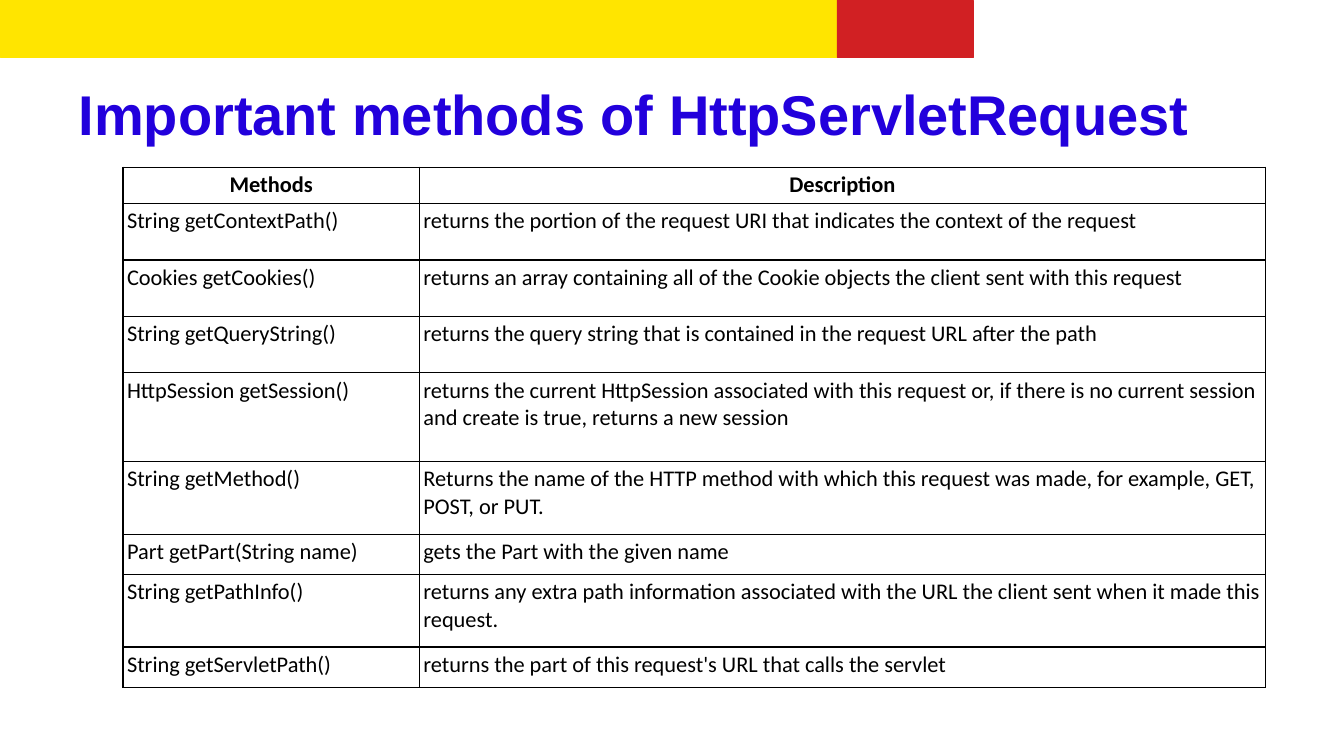
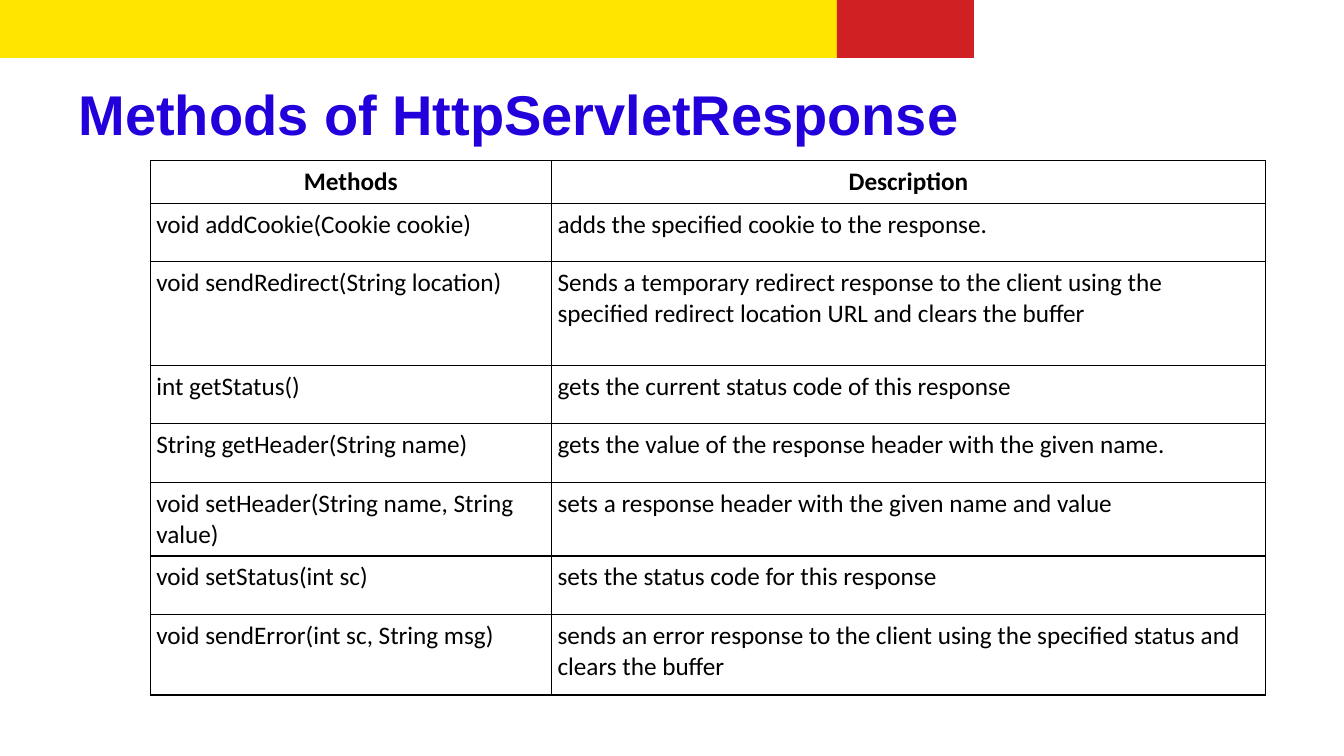
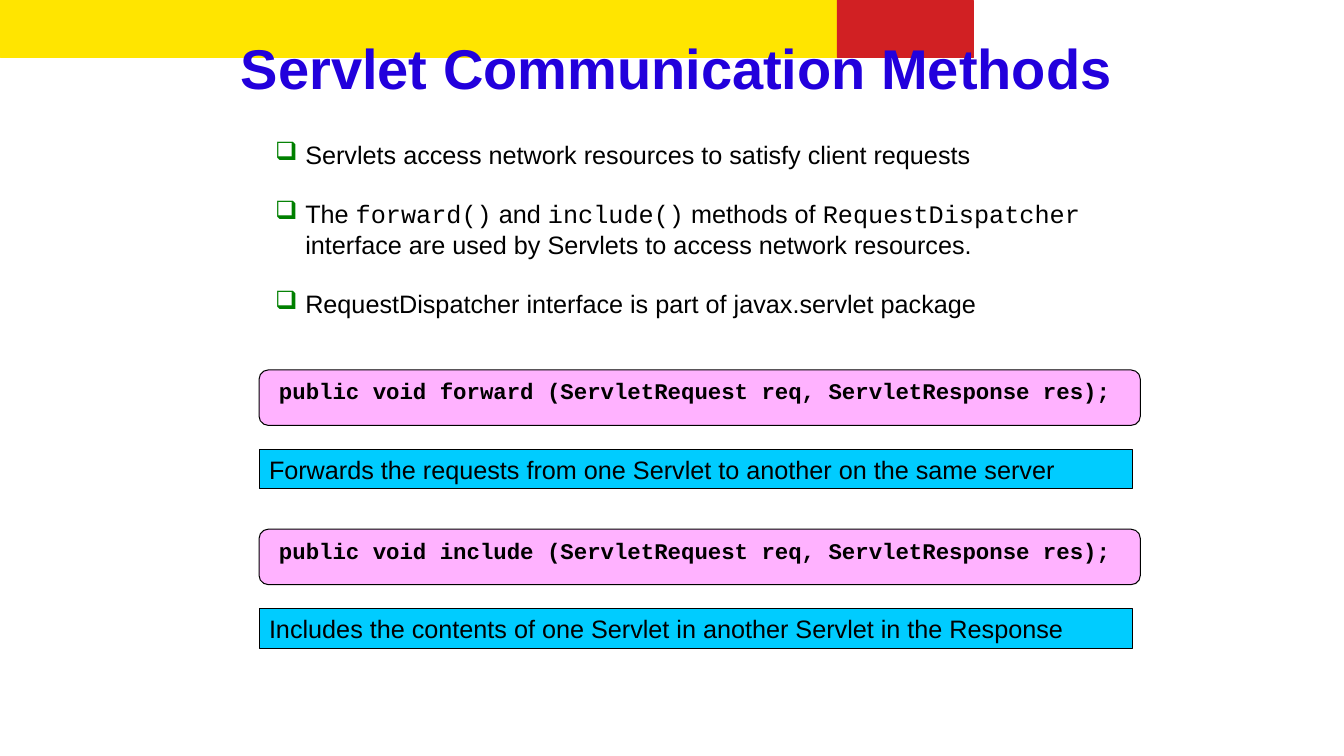
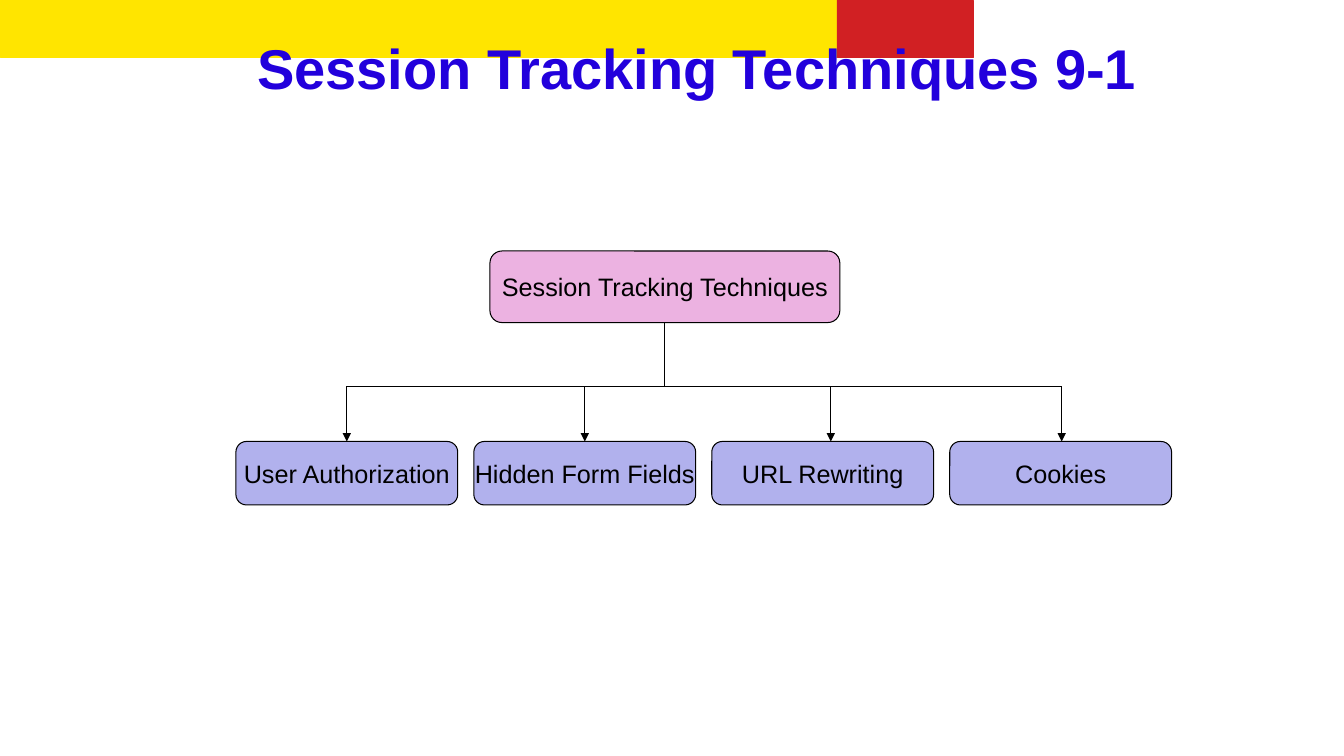
from lxml.etree import SubElement
from pptx import Presentation
from pptx.dml.color import RGBColor
from pptx.enum.shapes import MSO_CONNECTOR, MSO_SHAPE
from pptx.enum.text import MSO_ANCHOR, MSO_AUTO_SIZE, PP_ALIGN
from pptx.oxml.ns import qn
from pptx.util import Emu, Pt

EMU_PER_PX = 9144  # 100 px to the inch
COLORS = {
    "yellow": "FFE500", "red": "D12023", "title": "2200DC", "black": "000000",
    "white": "FFFFFF", "bullet": "008000", "code": "FF66FF", "note": "00CCFF",
    "root": "ECB2E1", "branch": "B1B1ED",
}
SANS, TABLE_FONT, MONO = "Arial", "Calibri", "Courier New"

REQUEST_ROWS = [
    ("Methods", "Description"),
    ("String getContextPath()",
     "returns the portion of the request URI that indicates the context of the request"),
    ("Cookies getCookies()",
     "returns an array containing all of the Cookie objects the client sent with this request"),
    ("String getQueryString()",
     "returns the query string that is contained in the request URL after the path"),
    ("HttpSession getSession()",
     "returns the current HttpSession associated with this request or, if there is no "
     "current session and create is true, returns a new session"),
    ("String getMethod()",
     "Returns the name of the HTTP method with which this request was made, "
     "for example, GET, POST, or PUT."),
    ("Part getPart(String name)", "gets the Part with the given name"),
    ("String getPathInfo()",
     "returns any extra path information associated with the URL the client sent "
     "when it made this request."),
    ("String getServletPath()", "returns the part of this request's URL that calls the servlet"),
]
RESPONSE_ROWS = [
    ("Methods", "Description"),
    ("void addCookie(Cookie cookie)", "adds the specified cookie to the response."),
    ("void sendRedirect(String location)",
     "Sends a temporary redirect response to the client using the specified redirect "
     "location URL and clears the buffer"),
    ("int getStatus()", "gets the current status code of this response"),
    ("String getHeader(String name)",
     "gets the value of the response header with the given name."),
    ("void setHeader(String name, String value)",
     "sets a response header with the given name and value"),
    ("void setStatus(int sc)", "sets the status code for this response"),
    ("void sendError(int sc, String msg)",
     "sends an error response to the client using the specified status and clears the buffer"),
]
# Each bullet is a list of (text, font) runs
DISPATCH_BULLETS = [
    [("Servlets access network resources to satisfy client requests", SANS)],
    [("The ", SANS), ("forward()", MONO), (" and ", SANS), ("include()", MONO),
     (" methods of ", SANS), ("RequestDispatcher", MONO),
     (" interface are used by Servlets to access network resources.", SANS)],
    [("RequestDispatcher interface is part of javax.servlet package", SANS)],
]
DISPATCH_METHODS = [
    ("public void forward (ServletRequest req, ServletResponse res);",
     "Forwards the requests from one Servlet to another on the same server"),
    ("public void include (ServletRequest req, ServletResponse res);",
     "Includes the contents of one Servlet in another Servlet in the Response"),
]
# Technique and the x of the arrow that leads to it
TECHNIQUES = [("User Authorization", 344), ("Hidden Form Fields", 580),
              ("URL Rewriting", 824), ("Cookies", 1053)]


def px(length):
    return Emu(length * EMU_PER_PX)


def rgb(name):
    return RGBColor.from_string(COLORS[name])


def style_run(run, size, font=SANS, color="black", bold=False):
    run.font.size = Pt(size)
    run.font.name = font
    run.font.bold = bold
    run.font.color.rgb = rgb(color)


def set_margins(frame, left, top, right, bottom):
    frame.margin_left, frame.margin_top = px(left), px(top)
    frame.margin_right, frame.margin_bottom = px(right), px(bottom)


# Shared parts
def add_shape(slide, kind, box, fill, line="black", width=0.75):
    shape = slide.shapes.add_shape(kind, *map(px, box))
    shape.shadow.inherit = False
    shape.fill.solid()
    shape.fill.fore_color.rgb = rgb(fill)
    shape.line.color.rgb = rgb(line)
    shape.line.width = Pt(width)
    return shape


def move_bands_to_layout(slide):
    """Draw the top bands and place them behind everything in the layout."""
    first = slide.slide_layout.shapes[0].element
    for number, (left, width, color) in enumerate([(0, 830, "yellow"), (830, 135, "red")]):
        band = add_shape(slide, MSO_SHAPE.RECTANGLE, (left, 0, width, 57), color, color, 0.25)
        band.element.nvSpPr.cNvPr.id = 20 + number
        first.addprevious(band.element)


def add_slide(presentation, title, left, top, width):
    slide = presentation.slides.add_slide(presentation.slide_layouts[5])
    shape = slide.shapes.title
    shape.left, shape.top, shape.width, shape.height = map(px, (left, top, width, 67))
    frame = shape.text_frame
    frame.text = title
    frame.auto_size = MSO_AUTO_SIZE.NONE
    frame.vertical_anchor = MSO_ANCHOR.TOP
    set_margins(frame, 0, 5, 0, 0)
    paragraph = frame.paragraphs[0]
    paragraph.alignment = PP_ALIGN.LEFT
    style_run(paragraph.runs[0], 40, color="title", bold=True)
    return slide


def add_label(slide, kind, box, fill, text, size=18, font=SANS, bold=False,
              align=PP_ALIGN.CENTER, wrap=False):
    shape = add_shape(slide, kind, box, fill)
    frame = shape.text_frame
    frame.text = text
    frame.word_wrap = wrap
    frame.vertical_anchor = MSO_ANCHOR.MIDDLE
    frame.paragraphs[0].alignment = align
    style_run(frame.paragraphs[0].runs[0], size, font, bold=bold)
    return shape


def add_line(slide, x1, y1, x2, y2, arrow=False):
    connector = slide.shapes.add_connector(MSO_CONNECTOR.STRAIGHT, *map(px, (x1, y1, x2, y2)))
    connector.line.color.rgb = rgb("black")
    connector.line.width = Pt(0.75)
    properties = connector.element.spPr
    if arrow:
        SubElement(properties.get_or_add_ln(), qn("a:tailEnd"), type="triangle")
    SubElement(properties, qn("a:effectLst"))


# Tables
def add_cell_borders(cell):
    properties = cell._tc.get_or_add_tcPr()
    for side in ("lnL", "lnR", "lnT", "lnB"):
        border = SubElement(properties, qn(f"a:{side}"), w=str(Pt(1)))
        fill = SubElement(border, qn("a:solidFill"))
        SubElement(fill, qn("a:srgbClr"), val=COLORS["black"])


def add_method_table(slide, left, top, widths, heights, rows, size, margin):
    table = slide.shapes.add_table(len(rows), len(widths), px(left), px(top),
                                   px(sum(widths)), px(sum(heights))).table
    table.horz_banding = False
    for column, width in zip(table.columns, widths):
        column.width = px(width)
    for index, (row, height, texts) in enumerate(zip(table.rows, heights, rows)):
        row.height = px(height)
        is_header = index == 0
        for cell, text in zip(row.cells, texts):
            add_cell_borders(cell)
            cell.fill.solid()
            cell.fill.fore_color.rgb = rgb("white")
            set_margins(cell, margin, margin, margin, margin)
            cell.text_frame.text = text
            paragraph = cell.text_frame.paragraphs[0]
            paragraph.alignment = PP_ALIGN.CENTER if is_header else PP_ALIGN.LEFT
            style_run(paragraph.runs[0], size, TABLE_FONT, bold=is_header)


# Bulleted text
def add_bullet(paragraph, indent):
    properties = paragraph._p.get_or_add_pPr()
    properties.set("marL", str(px(indent)))
    properties.set("indent", str(px(-indent)))
    color = SubElement(properties, qn("a:buClr"))
    SubElement(color, qn("a:srgbClr"), val=COLORS["bullet"])
    SubElement(properties, qn("a:buChar"), char="❑")


def add_bullet_list(slide, box, bullets):
    frame = slide.shapes.add_textbox(*map(px, box)).text_frame
    frame.word_wrap = True
    for index, runs in enumerate(bullets):
        paragraph = frame.add_paragraph() if index else frame.paragraphs[0]
        add_bullet(paragraph, 30)
        if index:
            paragraph.space_before = Pt(21)
        for text, font in runs:
            run = paragraph.add_run()
            run.text = text
            style_run(run, 18, font)


# Slide contents
def add_dispatch_method(slide, top, signature, note):
    code = add_label(slide, MSO_SHAPE.FLOWCHART_ALTERNATE_PROCESS, (257, top, 874, 55),
                     "code", signature, 16, MONO, bold=True)
    code.text_frame.vertical_anchor = MSO_ANCHOR.TOP
    set_margins(code.text_frame, 0, 5, 10, 5)
    color = code.element.spPr.find(qn("a:solidFill")).find(qn("a:srgbClr"))
    SubElement(color, qn("a:alpha"), val="50000")
    add_label(slide, MSO_SHAPE.RECTANGLE, (257, top + 79, 866, 39), "note", note,
              align=PP_ALIGN.LEFT, wrap=True)


def add_technique_tree(slide):
    bus_y, branch_y, trunk_x = 383, 438, 659
    add_label(slide, MSO_SHAPE.ROUNDED_RECTANGLE, (486, 249, 347, 71), "root",
              "Session Tracking Techniques")
    add_line(slide, trunk_x, 320, trunk_x, bus_y)
    add_line(slide, TECHNIQUES[0][1], bus_y, TECHNIQUES[-1][1], bus_y)
    for index, (name, arrow_x) in enumerate(TECHNIQUES):
        add_line(slide, arrow_x, bus_y, arrow_x, branch_y, arrow=True)
        add_label(slide, MSO_SHAPE.ROUNDED_RECTANGLE,
                  (234 + index * 236, branch_y, 220, 63), "branch", name)


def main():
    presentation = Presentation()
    presentation.slide_width, presentation.slide_height = px(1333), px(750)

    # Request methods
    slide = add_slide(presentation, "Important methods of HttpServletRequest", 78, 74, 1177)
    move_bands_to_layout(slide)
    add_method_table(slide, 122, 166, [294, 839], [36, 56, 56, 56, 88, 72, 40, 72, 40],
                     REQUEST_ROWS, size=16, margin=4)

    # Response methods
    slide = add_slide(presentation, "Methods of HttpServletResponse", 78, 74, 1177)
    add_method_table(slide, 149, 159, [398, 708], [42, 58, 103, 58, 58, 73, 58, 80],
                     RESPONSE_ROWS, size=18, margin=6)

    # Servlet communication
    slide = add_slide(presentation, "Servlet Communication Methods", 239, 28, 916)
    add_bullet_list(slide, (263, 133, 853, 220), DISPATCH_BULLETS)
    for index, (signature, note) in enumerate(DISPATCH_METHODS):
        add_dispatch_method(slide, 367 + index * 158, signature, note)

    # Session tracking
    slide = add_slide(presentation, "Session Tracking Techniques 9-1", 255, 28, 900)
    add_technique_tree(slide)

    presentation.save("out.pptx")


if __name__ == "__main__":
    main()
